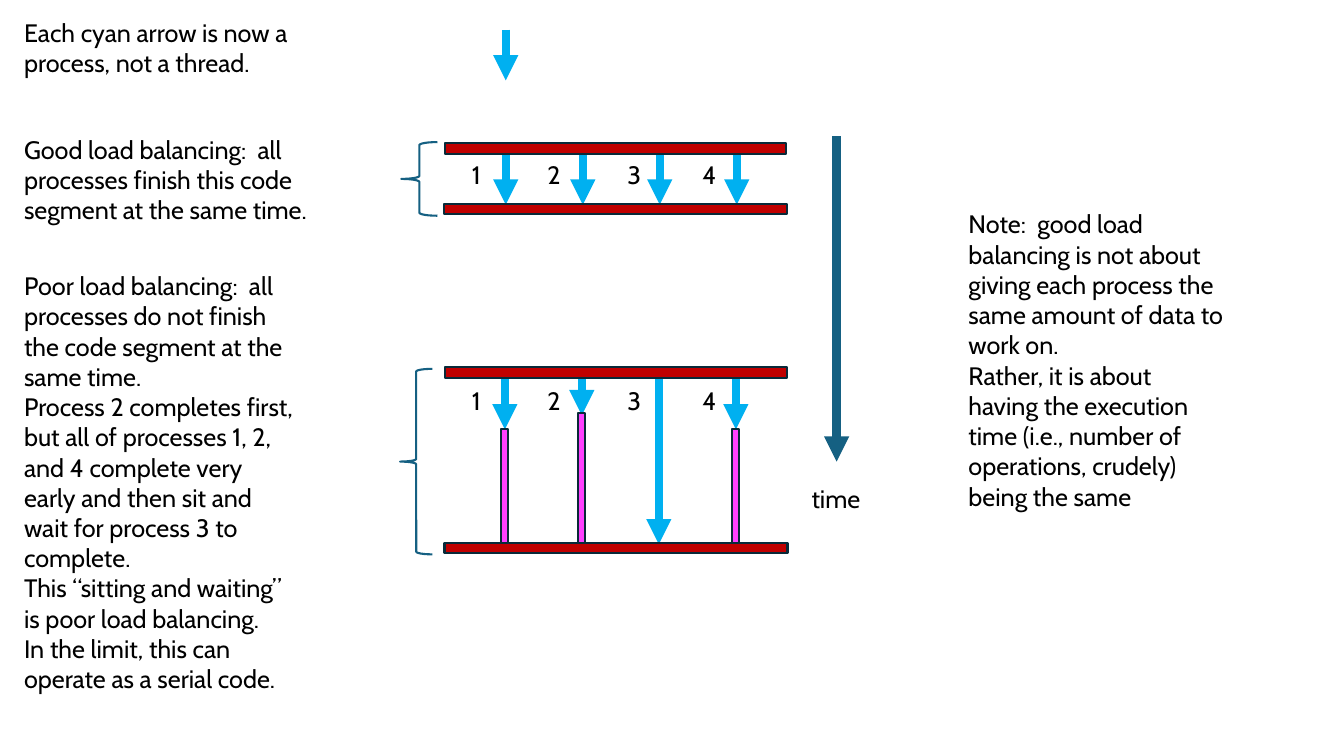
import pptx
import pptx.util
import pptx.dml.color
import pptx.enum.shapes
import pptx.enum.text
import pptx.oxml
import pptx.oxml.ns

Pt = pptx.util.Pt
SHAPE = pptx.enum.shapes.MSO_SHAPE

# Content: (left, top, width, height, paragraphs)
NOTES = [
    (10.1, 8.6, 239.8, 51, ["Each cyan arrow is now a process, not a thread."]),
    (10.1, 92.2, 239.8, 72.7, [
        "Good load balancing:  all processes finish this code segment at the same time."]),
    (10.1, 189.6, 209.5, 312.5, [
        "Poor load balancing:  all processes do not finish the code segment at the same time.",
        "Process 2 completes first, but all of processes 1, 2, and 4 complete very early "
        "and then sit and wait for process 3 to complete.",
        "This “sitting and waiting” is poor load balancing.",
        "In the limit, this can operate as a serial code."]),
    (684.7, 145.6, 196.6, 225.4, [
        "Note:  good load balancing is not about giving each process the same amount "
        "of data to work on.",
        "Rather, it is about having the execution time (i.e., number of operations, "
        "crudely) being the same"]),
    (572.6, 342, 59.8, 29.1, ["time"]),
]

# Bars and brace: (left, top, width, height); ends: arrow tip of each process
DIAGRAMS = [
    {"bars": [(317.7, 102.2, 244, 7.9), (317, 145.6, 245, 7.2)],
     "brace": (286.6, 101.5, 25.9, 52.6),
     "first_x": 361.3, "start": 110.2, "ends": [146.2] * 4,
     "label_top": 110.2, "waits": {}},
    {"bars": [(318.2, 262.1, 244, 7.9), (317.5, 388.1, 245, 7.2)],
     "brace": (285.8, 263.5, 23, 132.5),
     "first_x": 360.6, "start": 270.7, "ends": [306.7, 296.6, 388.8, 306.7],
     "label_top": 271.4, "waits": {0: 306.7, 1: 295.2, 3: 306.7}},
]
LABEL_LEFTS = [330, 383.8, 441, 494.6]
PROCESS_GAP = 55
WAIT_WIDTH = 5

# Single arrows: (x, top, bottom, colour)
ARROWS = [(361.3, 21.2, 57.4, "process"), (597.6, 97.2, 329.8, "time")]

COLOURS = {"process": "00B0F0", "time": "156082", "bar": "C00000",
           "wait": "FF40FF", "edge": "092A39", "text": "000000"}
FONT = {"name": "Cabin", "size": Pt(18)}


def rgb(name):
    return pptx.dml.color.RGBColor.from_string(COLOURS[name])


def add_text(s, left, top, width, height, paragraphs):
    tf = s.shapes.add_textbox(Pt(left), Pt(top), Pt(width), Pt(height)).text_frame
    tf.word_wrap = True
    tf.auto_size = pptx.enum.text.MSO_AUTO_SIZE.SHAPE_TO_FIT_TEXT
    for i, text in enumerate(paragraphs):
        p = tf.add_paragraph() if i else tf.paragraphs[0]
        r = p.add_run()
        r.text = text
        for key, value in FONT.items():
            setattr(r.font, key, value)
        r.font.color.rgb = rgb("text")


def add_arrow(s, x, top, bottom, colour):
    sp = s.shapes.add_connector(
        pptx.enum.shapes.MSO_CONNECTOR.STRAIGHT, Pt(x), Pt(top), Pt(x), Pt(bottom))
    sp.line.color.rgb = rgb(colour)
    sp.line.width = Pt(6)
    ns = pptx.oxml.ns.nsdecls("a")
    sp.line._get_or_add_ln().append(
        pptx.oxml.parse_xml(f'<a:tailEnd {ns} type="triangle"/>'))
    sp._element.spPr.append(pptx.oxml.parse_xml(f"<a:effectLst {ns}/>"))


def add_outlined(s, kind, box, line, fill=None):
    sp = s.shapes.add_shape(kind, *(Pt(v) for v in box))
    sp.shadow.inherit = False
    if fill:
        sp.fill.solid()
        sp.fill.fore_color.rgb = rgb(fill)
    else:
        sp.fill.background()
    sp.line.color.rgb = rgb(line)
    sp.line.width = Pt(1.5)


def add_diagram(s, d):
    xs = [d["first_x"] + i * PROCESS_GAP for i in range(len(d["ends"]))]
    # Processes
    for x, end in zip(xs, d["ends"]):
        add_arrow(s, x, d["start"], end, "process")
    # Start and finish bars with their brace
    for bar in d["bars"]:
        add_outlined(s, SHAPE.RECTANGLE, bar, "edge", "bar")
    add_outlined(s, SHAPE.LEFT_BRACE, d["brace"], "time")
    # Waiting time until the finish bar
    finish = d["bars"][1][1]
    for i, top in d["waits"].items():
        box = (xs[i] - WAIT_WIDTH / 2, top, WAIT_WIDTH, finish - top)
        add_outlined(s, SHAPE.RECTANGLE, box, "edge", "wait")
    # Process numbers
    for i, left in enumerate(LABEL_LEFTS, 1):
        add_text(s, left, d["label_top"], 26.5, 29.1, [str(i)])


def main():
    prs = pptx.Presentation()
    prs.slide_width, prs.slide_height = Pt(960), Pt(540)
    s = prs.slides.add_slide(prs.slide_layouts[6])
    for diagram in DIAGRAMS:
        add_diagram(s, diagram)
    for arrow in ARROWS:
        add_arrow(s, *arrow)
    for note in NOTES:
        add_text(s, *note)
    prs.save("out.pptx")


if __name__ == "__main__":
    main()
